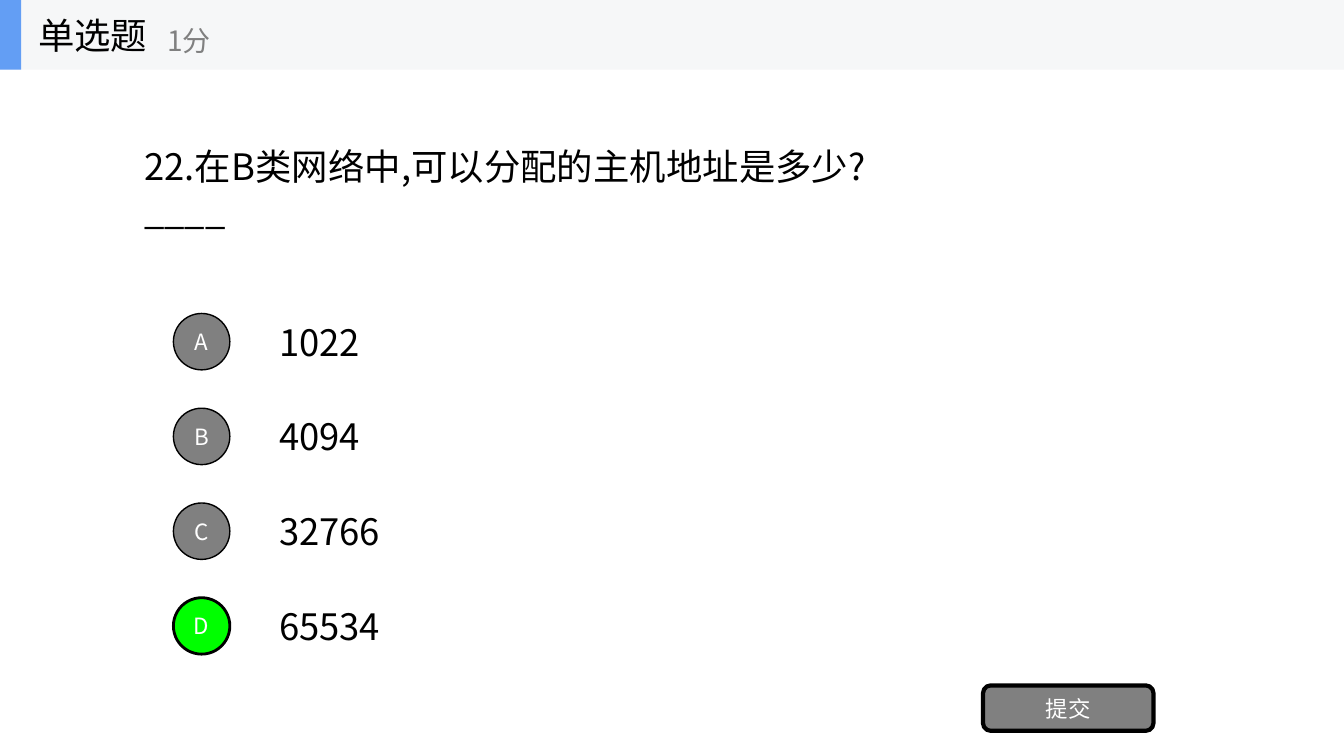
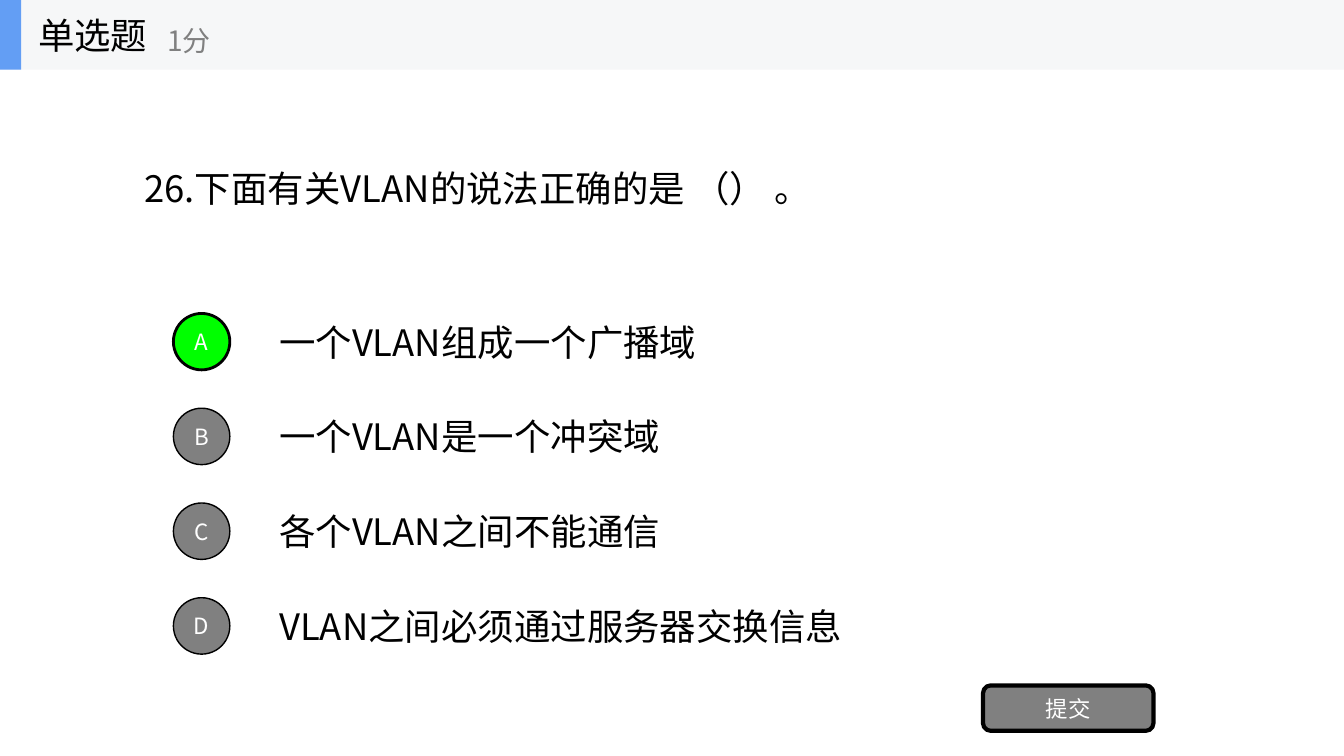
from dataclasses import dataclass

import lxml.etree
import pptx
import pptx.dml.color
import pptx.enum.shapes
import pptx.enum.text
import pptx.oxml.ns
import pptx.shapes.autoshape
import pptx.shapes.base
import pptx.slide
import pptx.util

Inches = pptx.util.Inches
Shape = pptx.shapes.autoshape.Shape
MSO_SHAPE = pptx.enum.shapes.MSO_SHAPE
PP_ALIGN = pptx.enum.text.PP_ALIGN
AUTO_SIZE = pptx.enum.text.MSO_AUTO_SIZE


@dataclass(frozen=True)
class Theme:
    font: str = "Noto Sans CJK SC"
    ink: str = "000000"
    muted: str = "808080"
    inverse: str = "FFFFFF"
    correct: str = "00FF00"
    band: str = "F6F7F8"
    accent: str = "639EF4"
    main_size: int = 26
    score_size: int = 20
    label_size: int = 16


@dataclass(frozen=True)
class Box:
    left: float
    top: float
    width: float
    height: float

    def lengths(self) -> tuple[int, int, int, int]:
        return (Inches(self.left), Inches(self.top),
                Inches(self.width), Inches(self.height))


@dataclass(frozen=True)
class Option:
    text: str
    width: float


@dataclass(frozen=True)
class Question:
    text: str
    width: float
    options: tuple[Option, ...]
    answer: str


THEME = Theme()
SLIDE_WIDTH, SLIDE_HEIGHT = 13.33, 7.5
HEADER_HEIGHT = 0.69
LINE_HEIGHT = 0.53
BADGE_LEFT, BADGE_SIZE = 1.72, 0.56
OPTION_LEFT = 2.67
FIRST_ROW, ROW_PITCH = 3.11, 0.94
SUBMIT_BOX = Box(9.75, 6.8, 1.69, 0.45)

QUESTIONS = (
    Question(
        "22.在B类网络中,可以分配的主机地址是多少?____", 7.98,
        (Option("1022", 1.05), Option("4094", 1.05),
         Option("32766", 1.26), Option("65534", 1.26)),
        "D",
    ),
    Question(
        "26.下面有关VLAN的说法正确的是 （） 。", 10.31,
        (Option("一个VLAN组成一个广播域", 4.44),
         Option("一个VLAN是一个冲突域", 4.08),
         Option("各个VLAN之间不能通信", 4.08),
         Option("VLAN之间必须通过服务器交换信息", 5.88)),
        "A",
    ),
)


# Text and shape helpers
def rgb(color: str) -> pptx.dml.color.RGBColor:
    return pptx.dml.color.RGBColor.from_string(color)


def write(shape: Shape, text: str, size: int, color: str,
          align: PP_ALIGN = PP_ALIGN.LEFT, grow: bool = False) -> None:
    frame = shape.text_frame
    frame.text = text
    frame.word_wrap = True
    frame.auto_size = AUTO_SIZE.SHAPE_TO_FIT_TEXT if grow else AUTO_SIZE.NONE
    frame.vertical_anchor = pptx.enum.text.MSO_ANCHOR.MIDDLE
    paragraph = frame.paragraphs[0]
    paragraph.alignment = align
    font = paragraph.runs[0].font
    font.name = THEME.font
    font.size = pptx.util.Pt(size)
    font.color.rgb = rgb(color)
    # East Asian characters take their own typeface element
    latin = font._element.find(pptx.oxml.ns.qn("a:latin"))
    east_asian = lxml.etree.Element(pptx.oxml.ns.qn("a:ea"), typeface=THEME.font)
    latin.addnext(east_asian)


def add_text(shapes, box: Box, text: str, size: int, color: str,
             grow: bool = False) -> None:
    write(shapes.add_textbox(*box.lengths()), text, size, color, grow=grow)


def add_block(shapes, kind: MSO_SHAPE, box: Box, fill: str,
              line_width: int = 0) -> Shape:
    block = shapes.add_shape(kind, *box.lengths())
    block.shadow.inherit = False
    block.fill.solid()
    block.fill.fore_color.rgb = rgb(fill)
    if line_width:
        block.line.color.rgb = rgb(THEME.ink)
        block.line.width = pptx.util.Pt(line_width)
    else:
        block.line.fill.background()
    return block


def add_button(shapes, kind: MSO_SHAPE, box: Box, label: str, fill: str,
               line_width: int) -> None:
    button = add_block(shapes, kind, box, fill, line_width)
    frame = button.text_frame
    frame.margin_left = frame.margin_right = 0
    frame.margin_top = frame.margin_bottom = 0
    write(button, label, THEME.label_size, THEME.inverse, PP_ALIGN.CENTER)


# Slide parts
def add_header(slide: pptx.slide.Slide) -> None:
    header = slide.shapes.add_group_shape().shapes
    add_block(header, MSO_SHAPE.RECTANGLE,
              Box(0, 0, SLIDE_WIDTH, HEADER_HEIGHT), THEME.band)
    add_block(header, MSO_SHAPE.RECTANGLE,
              Box(0, 0, 0.21, HEADER_HEIGHT), THEME.accent)
    add_text(header, Box(0.28, 0, 2.08, HEADER_HEIGHT),
             "单选题", THEME.main_size, THEME.ink)
    add_text(header, Box(1.56, 0.12, 2.5, 0.56),
             "1分", THEME.score_size, THEME.muted)


def add_prompt(slide: pptx.slide.Slide, question: Question) -> None:
    prompt = slide.shapes.title
    box = Box(1.33, 1.6, question.width, LINE_HEIGHT)
    prompt.left, prompt.top, prompt.width, prompt.height = box.lengths()
    write(prompt, question.text, THEME.main_size, THEME.ink, grow=True)


def add_options(slide: pptx.slide.Slide, question: Question) -> None:
    for row, (letter, option) in enumerate(zip("ABCD", question.options)):
        badge_top = FIRST_ROW + row * ROW_PITCH
        text_top = badge_top + (BADGE_SIZE - LINE_HEIGHT) / 2
        is_answer = letter == question.answer
        add_text(slide.shapes,
                 Box(OPTION_LEFT, text_top, option.width, LINE_HEIGHT),
                 option.text, THEME.main_size, THEME.ink, grow=True)
        add_button(slide.shapes, MSO_SHAPE.OVAL,
                   Box(BADGE_LEFT, badge_top, BADGE_SIZE, BADGE_SIZE), letter,
                   THEME.correct if is_answer else THEME.muted,
                   2 if is_answer else 1)


def main() -> None:
    deck = pptx.Presentation()
    deck.slide_width = Inches(SLIDE_WIDTH)
    deck.slide_height = Inches(SLIDE_HEIGHT)
    title_only = deck.slide_layouts[5]
    for question in QUESTIONS:
        slide = deck.slides.add_slide(title_only)
        add_prompt(slide, question)
        add_options(slide, question)
        add_button(slide.shapes, MSO_SHAPE.ROUNDED_RECTANGLE, SUBMIT_BOX,
                   "提交", THEME.muted, 3)
        add_header(slide)
    deck.save("out.pptx")


if __name__ == "__main__":
    main()
